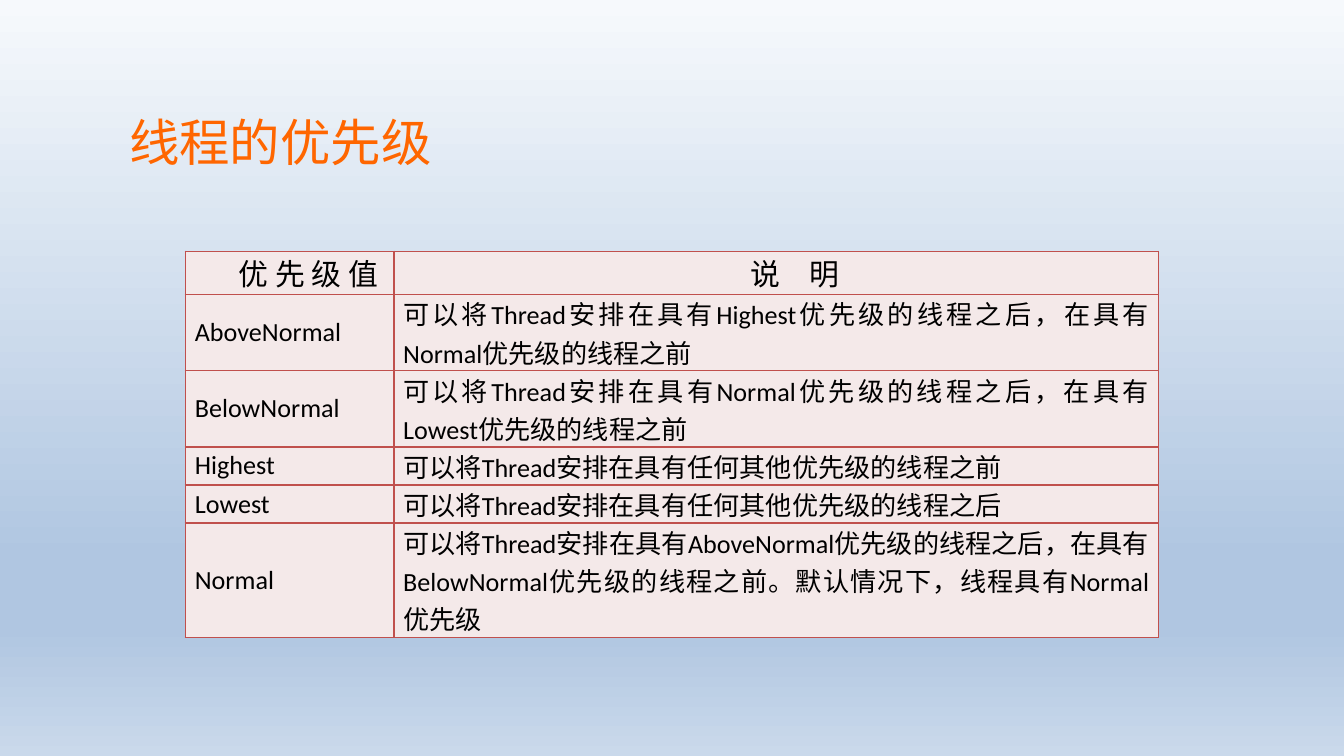
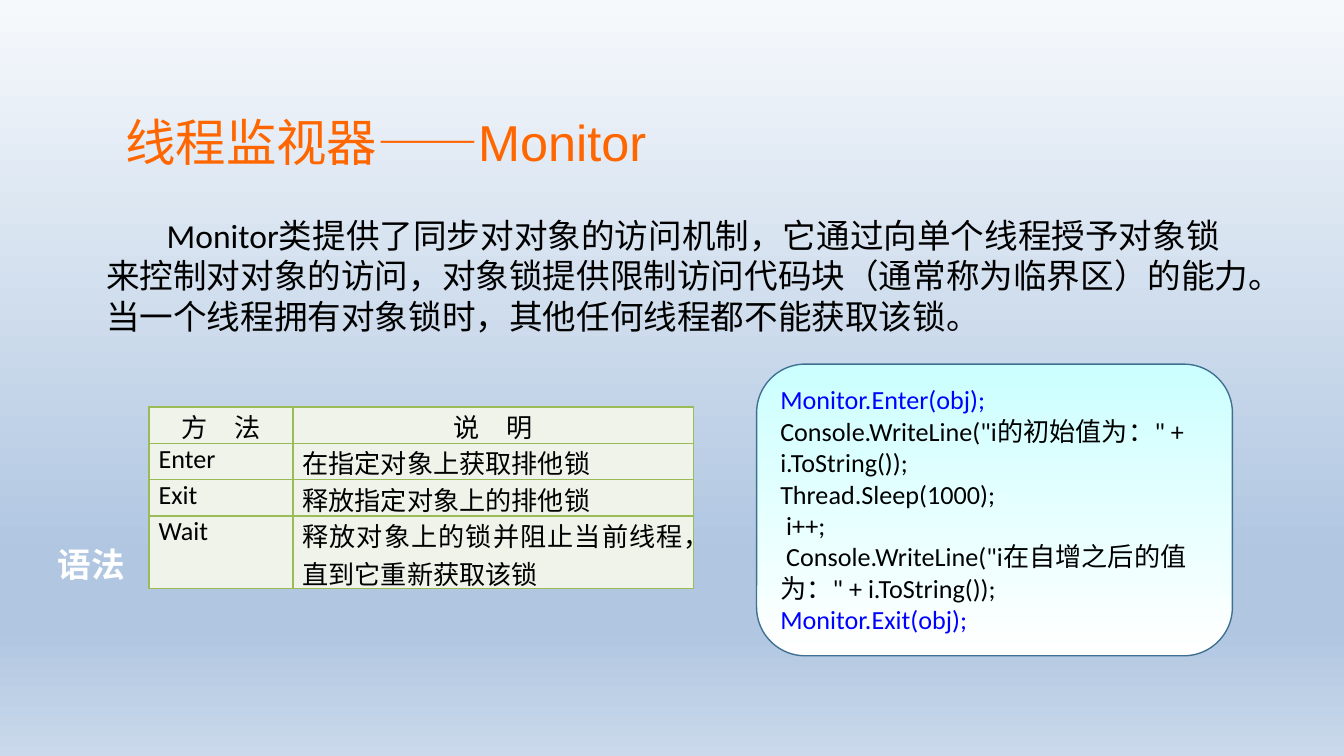
from lxml.etree import SubElement
from pptx import Presentation
from pptx.dml.color import RGBColor
from pptx.enum.shapes import MSO_SHAPE
from pptx.enum.text import MSO_ANCHOR, MSO_AUTO_SIZE, PP_ALIGN
from pptx.oxml import parse_xml
from pptx.oxml.ns import nsdecls, qn
from pptx.util import Inches, Pt

SLIDE_WIDTH = Inches(10)
SLIDE_HEIGHT = SLIDE_WIDTH * 9 // 16

ORANGE = RGBColor(0xFF, 0x66, 0x00)
BLACK = RGBColor(0x00, 0x00, 0x00)
WHITE = RGBColor(0xFF, 0xFF, 0xFF)
BLUE = RGBColor(0x00, 0x00, 0xFF)
RED_LINE = RGBColor(0xC0, 0x50, 0x4D)
RED_TINT = RGBColor(0xF4, 0xE9, 0xE9)
GREEN_LINE = RGBColor(0x9B, 0xBB, 0x59)
GREEN_TINT = RGBColor(0xEF, 0xF3, 0xEA)
CODE_LINE = RGBColor(0x3F, 0x70, 0x91)
SKY = [
    (0, RGBColor(0xF6, 0xF9, 0xFC)),
    (74, RGBColor(0xB0, 0xC6, 0xE1)),
    (83, RGBColor(0xB0, 0xC6, 0xE1)),
    (100, RGBColor(0xCA, 0xD9, 0xEB)),
]
AQUA = [(0, RGBColor(0xCC, 0xFF, 0xFF)), (100, WHITE)]

TITLE_FONT = {"name": "Arial", "size": Pt(27)}
BODY_FONT = {"name": "Calibri", "size": Pt(18)}
LABEL_FONT = {"name": "Calibri", "size": Pt(18), "bold": True}
SMALL_FONT = {"name": "Calibri", "size": Pt(14)}
HEAD_FONT = {"name": "Calibri", "size": Pt(16)}
TIGHT = (0.07, 0.04)
CELL_INSETS = (0.07, 0)

PRIORITIES = [
    ("优 先 级 值", "说　明"),
    ("AboveNormal", "可以将Thread安排在具有Highest优先级的线程之后，在具有Normal优先级的线程之前"),
    ("BelowNormal", "可以将Thread安排在具有Normal优先级的线程之后，在具有Lowest优先级的线程之前"),
    ("Highest", "可以将Thread安排在具有任何其他优先级的线程之前"),
    ("Lowest", "可以将Thread安排在具有任何其他优先级的线程之后"),
    ("Normal", "可以将Thread安排在具有AboveNormal优先级的线程之后，"
               "在具有BelowNormal优先级的线程之前。默认情况下，线程具有Normal优先级"),
]
METHODS = [
    ("方　法", "说　明"),
    ("Enter", "在指定对象上获取排他锁"),
    ("Exit", "释放指定对象上的排他锁"),
    ("Wait", "释放对象上的锁并阻止当前线程，直到它重新获取该锁"),
]
MONITOR_INTRO = (
    "Monitor类提供了同步对对象的访问机制，它通过向单个线程授予对象锁来控制对对象的访问，"
    "对象锁提供限制访问代码块（通常称为临界区）的能力。"
    "当一个线程拥有对象锁时，其他任何线程都不能获取该锁。"
)
MONITOR_CODE = [
    ("Monitor.Enter(obj);", BLUE),
    ('Console.WriteLine("i的初始值为：" + i.ToString());', BLACK),
    ("Thread.Sleep(1000);", BLACK),
    (" i++;", BLACK),
    (' Console.WriteLine("i在自增之后的值为：" + i.ToString());', BLACK),
    ("Monitor.Exit(obj);", BLUE),
]


def set_attrs(obj, values):
    for name, value in values.items():
        setattr(obj, name, value)


def inches(box):
    return [Inches(v) for v in box]


def place(sp, box):
    set_attrs(sp, dict(zip(("left", "top", "width", "height"), inches(box))))


def set_insets(obj, insets):
    """Set the margins of a text frame or table cell from (side, top and bottom)."""
    x, y = inches(insets)
    set_attrs(obj, {"margin_left": x, "margin_right": x,
                    "margin_top": y, "margin_bottom": y})


def write(p, text, font, color, align=PP_ALIGN.LEFT, indent=0, space=0):
    set_attrs(p, {"alignment": align, "space_before": Pt(space), "space_after": Pt(space)})
    pPr = p._p.get_or_add_pPr()
    pPr.set("marL", "0")
    pPr.set("indent", str(Inches(indent)))
    SubElement(pPr, qn("a:buNone"))
    r = p.add_run()
    r.text = text
    set_attrs(r.font, font)
    r.font.color.rgb = color


def fill_vertically(fill, owner, stops):
    """Give the fill of owner a top-to-bottom gradient of (percent, colour) stops."""
    fill.gradient()
    fill.gradient_angle = 270
    gs_list = next(owner.iter(qn("a:gsLst")))
    for gs in list(gs_list):
        gs_list.remove(gs)
    for percent, color in stops:
        gs = SubElement(gs_list, qn("a:gs"), pos=str(percent * 1000))
        SubElement(gs, qn("a:srgbClr"), val=str(color))


def add_title(slide, text, width):
    sp = slide.shapes.title
    place(sp, (0.74, 0.67, width, 0.77))
    tf = sp.text_frame
    set_attrs(tf, {"word_wrap": True, "auto_size": MSO_AUTO_SIZE.NONE,
                   "vertical_anchor": MSO_ANCHOR.MIDDLE})
    set_insets(tf, TIGHT)
    write(tf.paragraphs[0], text, TITLE_FONT, ORANGE, PP_ALIGN.CENTER)


def add_intro(slide, text, box):
    sp = slide.placeholders[1]
    place(sp, box)
    tf = sp.text_frame
    set_attrs(tf, {"word_wrap": True, "auto_size": MSO_AUTO_SIZE.NONE,
                   "vertical_anchor": MSO_ANCHOR.TOP})
    write(tf.paragraphs[0], text, BODY_FONT, BLACK, indent=0.45)


def add_label(slide, text, box):
    tf = slide.shapes.add_textbox(*inches(box)).text_frame
    tf.word_wrap = False
    set_insets(tf, TIGHT)
    write(tf.paragraphs[0], text, LABEL_FONT, WHITE)


def add_code(slide, lines, box):
    sp = slide.shapes.add_shape(MSO_SHAPE.ROUNDED_RECTANGLE, *inches(box))
    sp.shadow.inherit = False
    fill_vertically(sp.fill, sp.element, AQUA)
    sp.line.color.rgb = CODE_LINE
    sp.line.width = Pt(0.75)
    tf = sp.text_frame
    set_attrs(tf, {"word_wrap": True, "vertical_anchor": MSO_ANCHOR.TOP})
    set_insets(tf, TIGHT)
    for i, (text, color) in enumerate(lines):
        p = tf.add_paragraph() if i else tf.paragraphs[0]
        write(p, text, SMALL_FONT, color)


def add_borders(cell, color):
    tcPr = cell._tc.get_or_add_tcPr()
    for i, side in enumerate(("lnL", "lnR", "lnT", "lnB")):
        tcPr.insert(i, parse_xml(
            f'<a:{side} {nsdecls("a")} w="{Pt(1)}"><a:solidFill>'
            f'<a:srgbClr val="{color}"/></a:solidFill></a:{side}>'))


def add_grid(slide, rows, at, widths, heights, line, tint,
             head_font=SMALL_FONT, head_indent=0, anchor=MSO_ANCHOR.MIDDLE):
    """Add a table with a centred header row and justified rows below it."""
    box = (*at, sum(widths), sum(heights))
    tbl = slide.shapes.add_table(len(rows), len(widths), *inches(box)).table
    set_attrs(tbl, {"first_row": False, "horz_banding": False})
    for col, width in zip(tbl.columns, widths):
        col.width = Inches(width)
    for r, (texts, height) in enumerate(zip(rows, heights)):
        tbl.rows[r].height = Inches(height)
        for c, text in enumerate(texts):
            cell = tbl.cell(r, c)
            cell.vertical_anchor = anchor if r else MSO_ANCHOR.MIDDLE
            set_insets(cell, CELL_INSETS)
            cell.fill.solid()
            cell.fill.fore_color.rgb = tint
            add_borders(cell, line)
            p = cell.text_frame.paragraphs[0]
            if r:
                write(p, text, SMALL_FONT, BLACK, PP_ALIGN.JUSTIFY, space=1.2)
            else:
                write(p, text, head_font, BLACK, PP_ALIGN.CENTER, head_indent, 1.2)


def add_priority_slide(prs):
    slide = prs.slides.add_slide(prs.slide_layouts.get_by_name("Title Only"))
    add_title(slide, "线程的优先级", 2.69)
    add_grid(slide, PRIORITIES, (1.38, 1.87), (1.55, 5.69),
             (0.28, 0.55, 0.55, 0.28, 0.28, 0.83), RED_LINE, RED_TINT,
             HEAD_FONT, head_indent=0.28)


def add_monitor_slide(prs):
    slide = prs.slides.add_slide(prs.slide_layouts.get_by_name("Title and Content"))
    add_title(slide, "线程监视器——Monitor", 4.26)
    add_label(slide, "语法", (0.36, 4.01, 0.66, 0.38))
    add_intro(slide, MONITOR_INTRO, (0.69, 1.55, 8.72, 1.01))
    add_code(slide, MONITOR_CODE, (5.63, 2.71, 3.54, 2.17))
    add_grid(slide, METHODS, (1.11, 3.03), (1.07, 2.98), (0.27, 0.27, 0.27, 0.54),
             GREEN_LINE, GREEN_TINT, anchor=MSO_ANCHOR.TOP)


def main():
    prs = Presentation()
    set_attrs(prs, {"slide_width": SLIDE_WIDTH, "slide_height": SLIDE_HEIGHT})
    master = prs.slide_master
    fill_vertically(master.background.fill, master.element, SKY)
    add_priority_slide(prs)
    add_monitor_slide(prs)
    prs.save("out.pptx")


if __name__ == "__main__":
    main()
